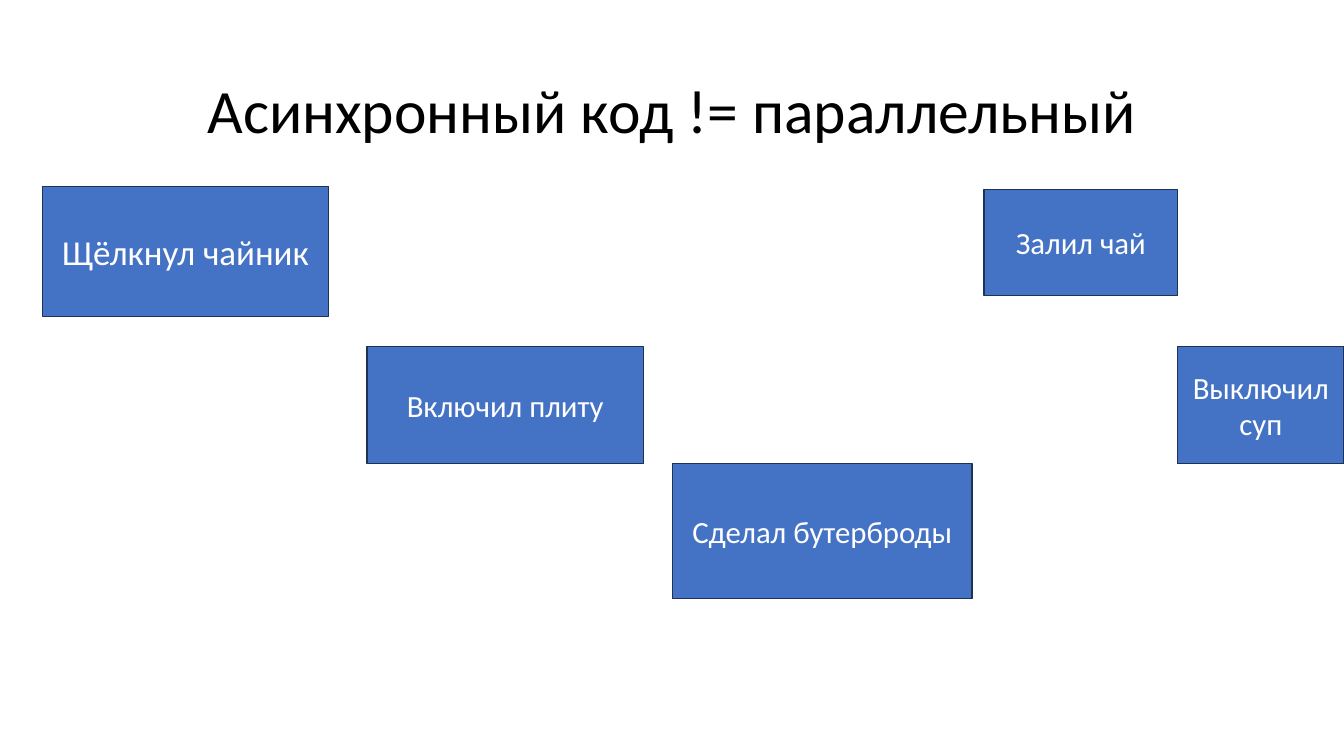
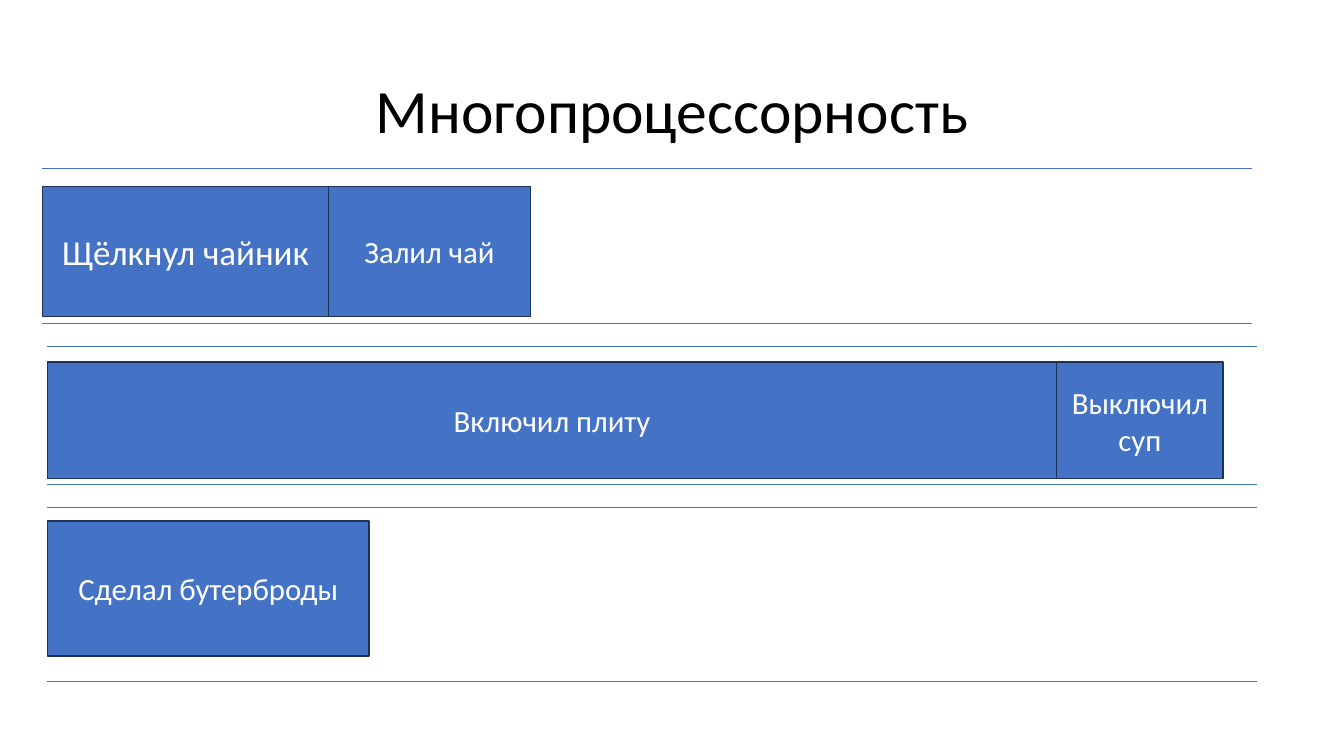
from pptx import Presentation
from pptx.dml.color import RGBColor
from pptx.enum.shapes import MSO_CONNECTOR as Connector, MSO_SHAPE as Shape
from pptx.enum.text import MSO_ANCHOR as Anchor, PP_ALIGN as Align
from pptx.oxml.ns import qn
from pptx.util import Pt
from lxml.etree import SubElement

EMU_PER_PX = 9144  # 100 px to the inch
WIDTH, HEIGHT = 1333, 750
FONT = "Calibri"
COLORS = {
    "background": "FFFFFF",
    "title": "000000",
    "task": "4472C4",
    "outline": "1E3256",
    "task_text": "FFFFFF",
}

KETTLE = "Щёлкнул чайник"
STOVE = "Включил плиту"
SANDWICHES = "Сделал бутерброды"
TEA = "Залил чай"
SOUP = "Выключил суп"
TASK_SIZES = {KETTLE: 25}
DEFAULT_TASK_SIZE = 22


def emu(*lengths):
    return [length * EMU_PER_PX for length in lengths]


def color(name):
    return RGBColor.from_string(COLORS[name])


class Slides:
    def __init__(self):
        self.deck = Presentation()
        self.deck.slide_width, self.deck.slide_height = emu(WIDTH, HEIGHT)
        self.page = None

    def new_page(self, title):
        self.page = self.deck.slides.add_slide(self.deck.slide_layouts[6])
        background = self.page.background.fill
        background.solid()
        background.fore_color.rgb = color("background")
        box = self.page.shapes.add_textbox(*emu(92, 40, 1150, 145))
        self.label(box, title, 44, "title")
        box.text_frame.paragraphs[0].line_spacing = 0.9

    def label(self, box, text, size, color_name):
        frame = box.text_frame
        frame.text = text
        frame.word_wrap = True
        frame.vertical_anchor = Anchor.MIDDLE
        para = frame.paragraphs[0]
        para.alignment = Align.CENTER
        for span in para.runs:
            span.font.name = FONT
            span.font.size = Pt(size)
            span.font.color.rgb = color(color_name)

    def task(self, text, left, top, width, height):
        box = self.page.shapes.add_shape(
            Shape.RECTANGLE, *emu(left, top, width, height))
        box.shadow.inherit = False
        box.fill.solid()
        box.fill.fore_color.rgb = color("task")
        box.line.color.rgb = color("outline")
        box.line.width = Pt(1)
        self.label(box, text, TASK_SIZES.get(text, DEFAULT_TASK_SIZE), "task_text")

    def rule(self, left, top, width=1200):
        line = self.page.shapes.add_connector(
            Connector.STRAIGHT, *emu(left, top, left + width, top))
        line.line.color.rgb = color("task")
        line.line.width = Pt(0.5)
        SubElement(line._element.spPr, qn("a:effectLst"))

    def lane(self, left, edges, top, height, tasks):
        """Draw tasks end to end between an upper and a lower rule."""
        for edge in edges:
            self.rule(left, edge)
        start = left
        for text, width in tasks:
            self.task(text, start, top, width, height)
            start += width


def main():
    slides = Slides()

    slides.new_page("Асинхронный код != параллельный")
    for text, *place in (
        (KETTLE, 42, 185, 284, 129),
        (STOVE, 364, 344, 274, 116),
        (SANDWICHES, 667, 460, 297, 134),
        (TEA, 976, 188, 192, 105),
        (SOUP, 1168, 344, 165, 116),
    ):
        slides.task(text, *place)

    slides.new_page("Многопроцессорность")
    slides.lane(42, (167, 321), 185, 129, ((KETTLE, 284), (TEA, 200)))
    slides.lane(47, (344, 481), 359, 116, ((STOVE, 1001), (SOUP, 165)))
    slides.lane(47, (503, 676), 517, 134, ((SANDWICHES, 319),))

    slides.deck.save("out.pptx")


if __name__ == "__main__":
    main()
